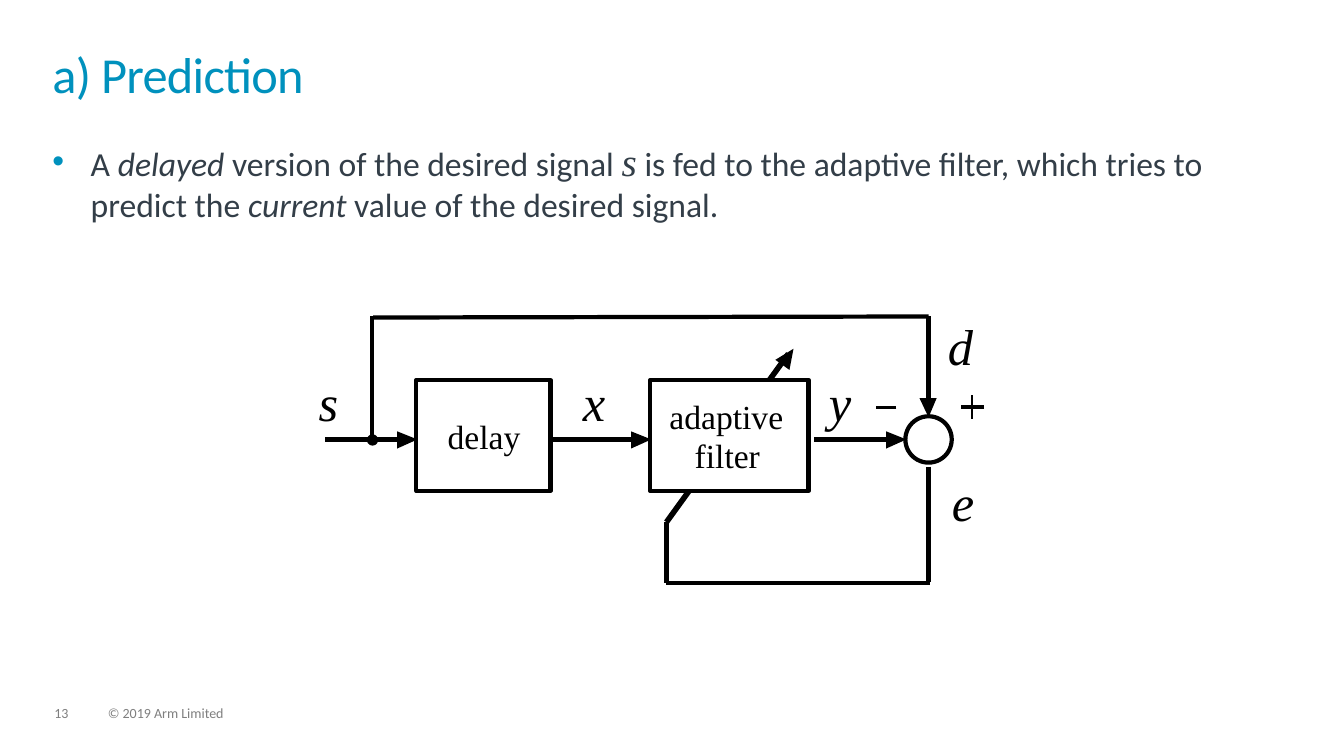
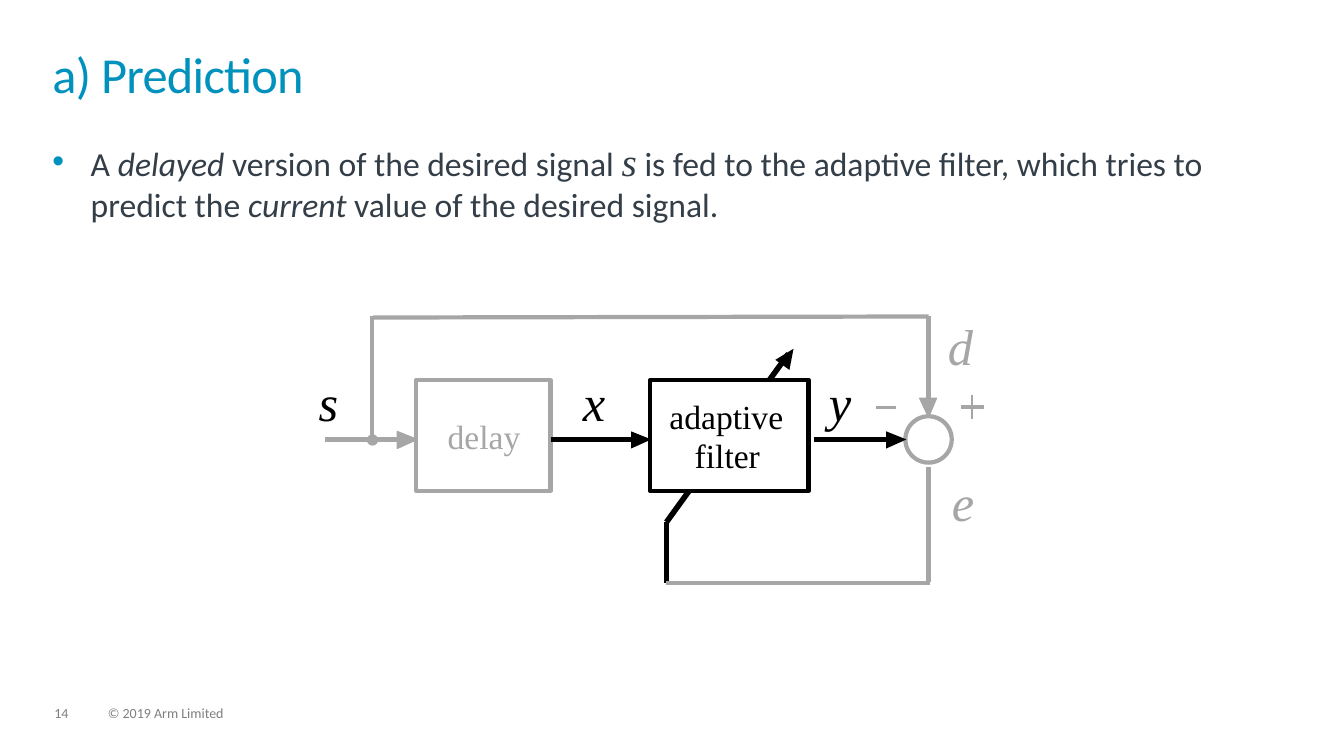
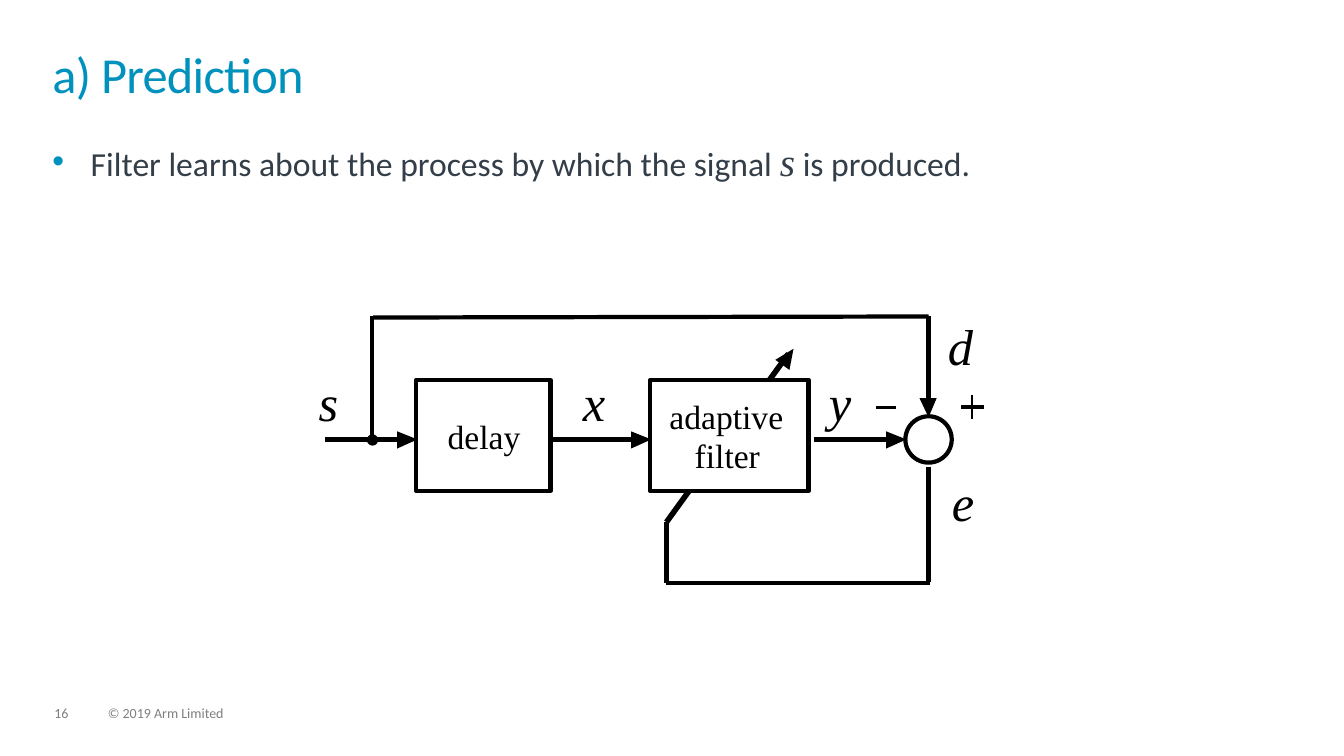
from dataclasses import dataclass

from lxml.etree import SubElement
from pptx import Presentation
from pptx.dml.color import RGBColor
from pptx.enum.shapes import MSO_CONNECTOR, MSO_SHAPE
from pptx.enum.text import MSO_ANCHOR, MSO_AUTO_SIZE as AutoSize, PP_ALIGN
from pptx.oxml.ns import qn
from pptx.shapes.shapetree import GroupShapes
from pptx.slide import Slide
from pptx.text.text import TextFrame, _Paragraph as Paragraph
from pptx.util import Emu, Pt

PX = 9144  # 100 px to the inch

# Shared style
BLUE = RGBColor(0x00, 0x91, 0xBD)
SLATE = RGBColor(0x33, 0x3E, 0x48)
GREY = RGBColor(0x7F, 0x7F, 0x7F)
MUTED = RGBColor(0xA6, 0xA6, 0xA6)
INK = RGBColor(0x00, 0x00, 0x00)
WHITE = RGBColor(0xFF, 0xFF, 0xFF)
SANS = "Calibri"
SERIF = "Times New Roman"

TITLE = "a) Prediction"
COPYRIGHT = "© 2019 Arm Limited"


@dataclass(frozen=True)
class Span:
    text: str
    italic: bool = False
    font: str = SANS
    size: int = 24


@dataclass(frozen=True)
class Page:
    number: int
    spans: tuple[Span, ...]
    dimmed: bool = False


# Parts marked core stay black when the rest of the diagram is dimmed
@dataclass(frozen=True)
class Block:
    preset: MSO_SHAPE
    left: int
    top: int
    width: int
    height: int
    core: bool = False
    solid: bool = False


@dataclass(frozen=True)
class Wire:
    start: tuple[int, int]
    end: tuple[int, int]
    core: bool = False
    width: int = 3


@dataclass(frozen=True)
class Head:
    tip: tuple[int, int]
    barbs: tuple[tuple[int, int], ...]
    core: bool = False


@dataclass(frozen=True)
class Label:
    text: str
    left: int
    top: int
    width: int
    core: bool = False
    symbol: bool = True


# Arrowhead barbs, measured from the tip
RIGHT = ((-20, 9), (-20, -8))
DOWN = ((-9, -19), (8, -19))
UP_RIGHT = ((-4, 21), (-18, 11))

BRANCH_X, SUM_X, ADAPT_X = 369, 921, 661
TOP_Y, AXIS_Y, SIGN_Y, LOOP_Y = 314, 436, 404, 578
BOX_TOP, BOX_HEIGHT = 377, 110

# The diagram, from back to front
DIAGRAM = (
    Head((787, 346), UP_RIGHT, core=True),
    Wire((782, 351), (ADAPT_X, 518), core=True, width=4),
    Block(MSO_SHAPE.RECTANGLE, 645, BOX_TOP, 157, BOX_HEIGHT, core=True),
    Block(MSO_SHAPE.RECTANGLE, 413, BOX_TOP, 133, BOX_HEIGHT),
    Block(MSO_SHAPE.OVAL, 898, 413, 46, 46),
    # signal path
    Head((414, AXIS_Y), RIGHT),
    Wire((404, AXIS_Y), (322, AXIS_Y)),
    Head((646, AXIS_Y), RIGHT, core=True),
    Wire((636, AXIS_Y), (547, AXIS_Y), core=True),
    Head((899, AXIS_Y), RIGHT, core=True),
    Wire((889, AXIS_Y), (807, AXIS_Y), core=True),
    # desired signal
    Wire((BRANCH_X, TOP_Y), (BRANCH_X, AXIS_Y)),
    Wire((SUM_X, TOP_Y), (370, 315)),
    Head((SUM_X, 414), DOWN),
    Wire((SUM_X, TOP_Y), (SUM_X, SIGN_Y)),
    Block(MSO_SHAPE.OVAL, 366, 433, 7, 7, solid=True),
    # error feedback
    Wire((ADAPT_X, 518), (ADAPT_X, LOOP_Y), core=True),
    Wire((922, LOOP_Y), (ADAPT_X, LOOP_Y)),
    Wire((SUM_X, 463), (SUM_X, 577)),
    # minus and plus signs
    Wire((889, SIGN_Y), (869, SIGN_Y), width=2),
    Wire((976, SIGN_Y), (953, SIGN_Y)),
    Wire((964, 392), (964, 416), width=2),
    # names
    Label("adaptive", 664, 393, 114, core=True, symbol=False),
    Label("filter", 689, 431, 65, core=True, symbol=False),
    Label("delay", 444, 413, 73, symbol=False),
    Label("s", 316, 368, 20, core=True),
    Label("x", 578, 368, 22, core=True),
    Label("y", 822, 368, 22, core=True),
    Label("d", 940, 313, 25),
    Label("e", 944, 467, 22),
)

SIGNAL = Span("s", italic=True, font=SERIF, size=28)
FED = (
    Span("A "),
    Span("delayed", italic=True),
    Span(" version of the desired signal "),
    SIGNAL,
    Span(" is fed to the adaptive filter, which tries to predict the "),
    Span("current", italic=True),
    Span(" value of the desired signal."),
)
LEARNS = (
    Span("Filter learns about the process by which the signal "),
    SIGNAL,
    Span(" is produced."),
)
PAGES = (Page(13, FED), Page(14, FED, dimmed=True), Page(16, LEARNS))


def px(length: int) -> Emu:
    return Emu(length * PX)


def write(para: Paragraph, text: str, *, size: int, color: RGBColor,
          font: str = SANS, italic: bool = False, tracking: int = 0) -> None:
    """Add a formatted run; tracking is in hundredths of a point."""
    run = para.add_run()
    run.text = text
    run.font.name = font
    run.font.size = Pt(size)
    run.font.italic = italic
    run.font.color.rgb = color
    if tracking:
        run.font._element.set("spc", str(tracking))


def set_frame(frame: TextFrame, *, wrap: bool = True, grow: bool = False,
              top: int = 0) -> Paragraph:
    frame.margin_left = frame.margin_right = frame.margin_bottom = 0
    frame.margin_top = px(top)
    frame.vertical_anchor = MSO_ANCHOR.TOP
    frame.word_wrap = wrap
    frame.auto_size = AutoSize.SHAPE_TO_FIT_TEXT if grow else AutoSize.NONE
    para = frame.paragraphs[0]
    para.alignment = PP_ALIGN.LEFT
    para.space_before = Pt(0)
    return para


def add_bullet(para: Paragraph) -> None:
    props = para._p.get_or_add_pPr()
    props.set("marL", str(px(38)))
    props.set("indent", str(px(-38)))
    color = SubElement(props, qn("a:buClr"))
    SubElement(color, qn("a:srgbClr")).set("val", str(BLUE))
    SubElement(props, qn("a:buFont")).set("typeface", "Arial")
    SubElement(props, qn("a:buChar")).set("char", "•")


def place(shape, left: int, top: int, width: int, height: int) -> None:
    shape.left, shape.top = px(left), px(top)
    shape.width, shape.height = px(width), px(height)


def add_text(slide: Slide, page: Page) -> None:
    title, body = slide.placeholders
    place(title, 52, 52, 1228, 72)
    para = set_frame(title.text_frame)
    para.line_spacing = 0.85
    write(para, TITLE, size=36, color=BLUE, tracking=-50)

    place(body, 52, 128, 1228, 541)
    para = set_frame(body.text_frame, top=8)
    add_bullet(para)
    for span in page.spans:
        write(para, span.text, size=span.size, color=SLATE,
              font=span.font, italic=span.italic)


def add_footer(slide: Slide, number: int) -> None:
    for text, left, width in ((str(number), 54, 34), (COPYRIGHT, 107, 507)):
        box = slide.shapes.add_textbox(px(left), px(701), px(width), px(15))
        para = set_frame(box.text_frame, grow=True)
        para.line_spacing = 0.9
        para.space_after = Pt(6)
        write(para, text, size=10, color=GREY)


# Diagram parts
def add_block(shapes: GroupShapes, block: Block, color: RGBColor) -> None:
    shape = shapes.add_shape(block.preset, px(block.left), px(block.top),
                             px(block.width), px(block.height))
    shape.shadow.inherit = False
    shape.fill.solid()
    shape.fill.fore_color.rgb = color if block.solid else WHITE
    shape.line.color.rgb = color
    shape.line.width = Pt(3)


def add_wire(shapes: GroupShapes, wire: Wire, color: RGBColor) -> None:
    line = shapes.add_connector(MSO_CONNECTOR.STRAIGHT,
                                *map(px, wire.start + wire.end))
    line.line.color.rgb = color
    line.line.width = Pt(wire.width)
    SubElement(line._element.spPr, qn("a:effectLst"))


def add_head(shapes: GroupShapes, head: Head, color: RGBColor) -> None:
    x, y = head.tip
    outline = shapes.build_freeform(x, y, scale=PX)
    outline.add_line_segments([(x + dx, y + dy) for dx, dy in head.barbs])
    shape = outline.convert_to_shape()
    shape.shadow.inherit = False
    shape.fill.solid()
    shape.fill.fore_color.rgb = color
    if color == MUTED:
        shape.line.color.rgb = color
        shape.line.width = Pt(0.75)
    else:
        shape.line.fill.background()


def add_label(shapes: GroupShapes, label: Label, color: RGBColor) -> None:
    size, height = (36, 61) if label.symbol else (24, 40)
    box = shapes.add_textbox(px(label.left), px(label.top),
                             px(label.width), px(height))
    para = set_frame(box.text_frame, wrap=False, grow=True)
    write(para, label.text, size=size, color=color, font=SERIF,
          italic=label.symbol)


DRAW = {Block: add_block, Wire: add_wire, Head: add_head, Label: add_label}


def add_diagram(slide: Slide, dimmed: bool) -> None:
    group = slide.shapes.add_group_shape()
    for part in DIAGRAM:
        color = MUTED if dimmed and not part.core else INK
        DRAW[type(part)](group.shapes, part, color)


def main() -> None:
    deck = Presentation()
    deck.slide_width, deck.slide_height = px(1333), px(750)
    layout = deck.slide_layouts.get_by_name("Title and Content")
    for page in PAGES:
        slide = deck.slides.add_slide(layout)
        add_footer(slide, page.number)
        add_text(slide, page)
        add_diagram(slide, page.dimmed)
    deck.save("out.pptx")


if __name__ == "__main__":
    main()
